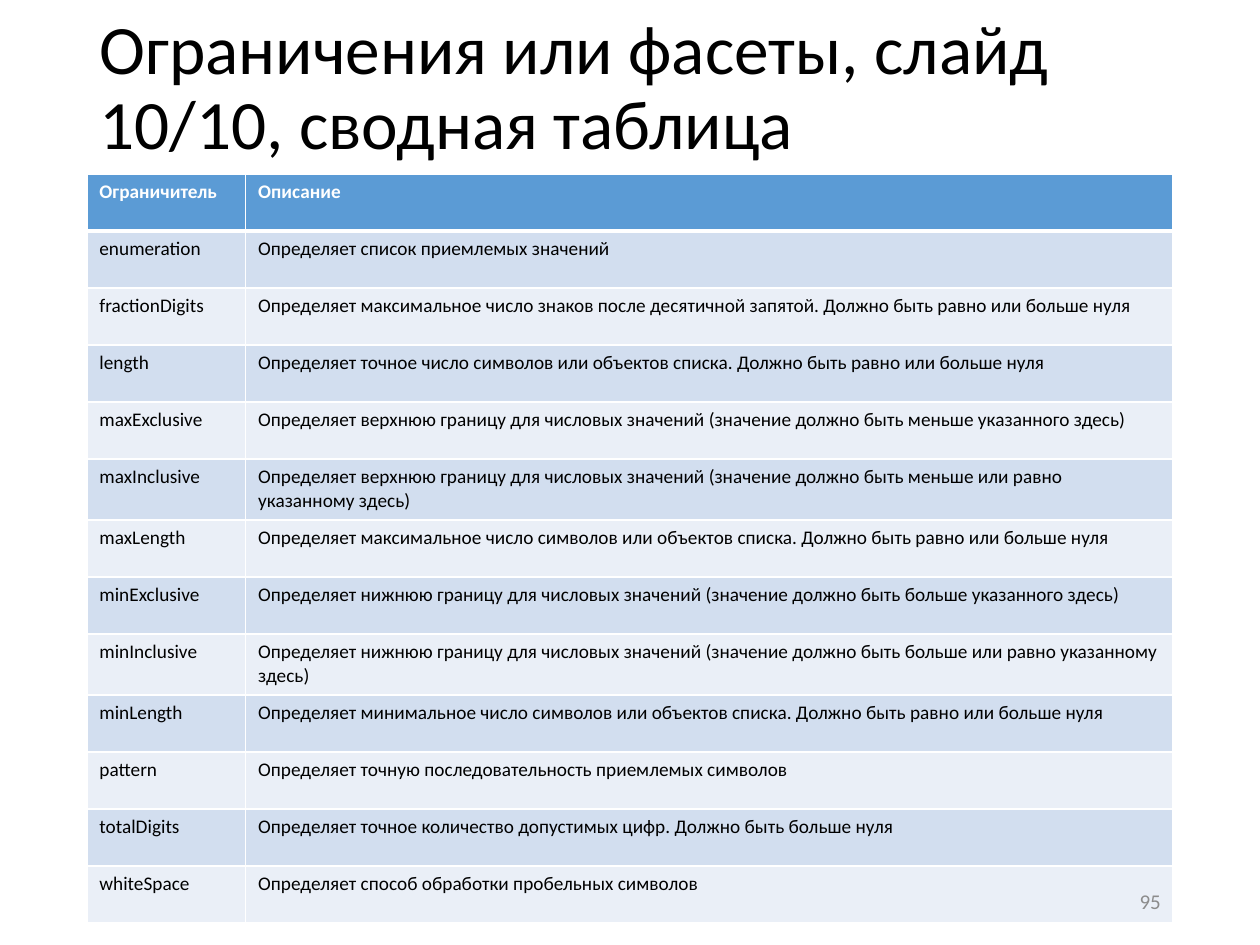
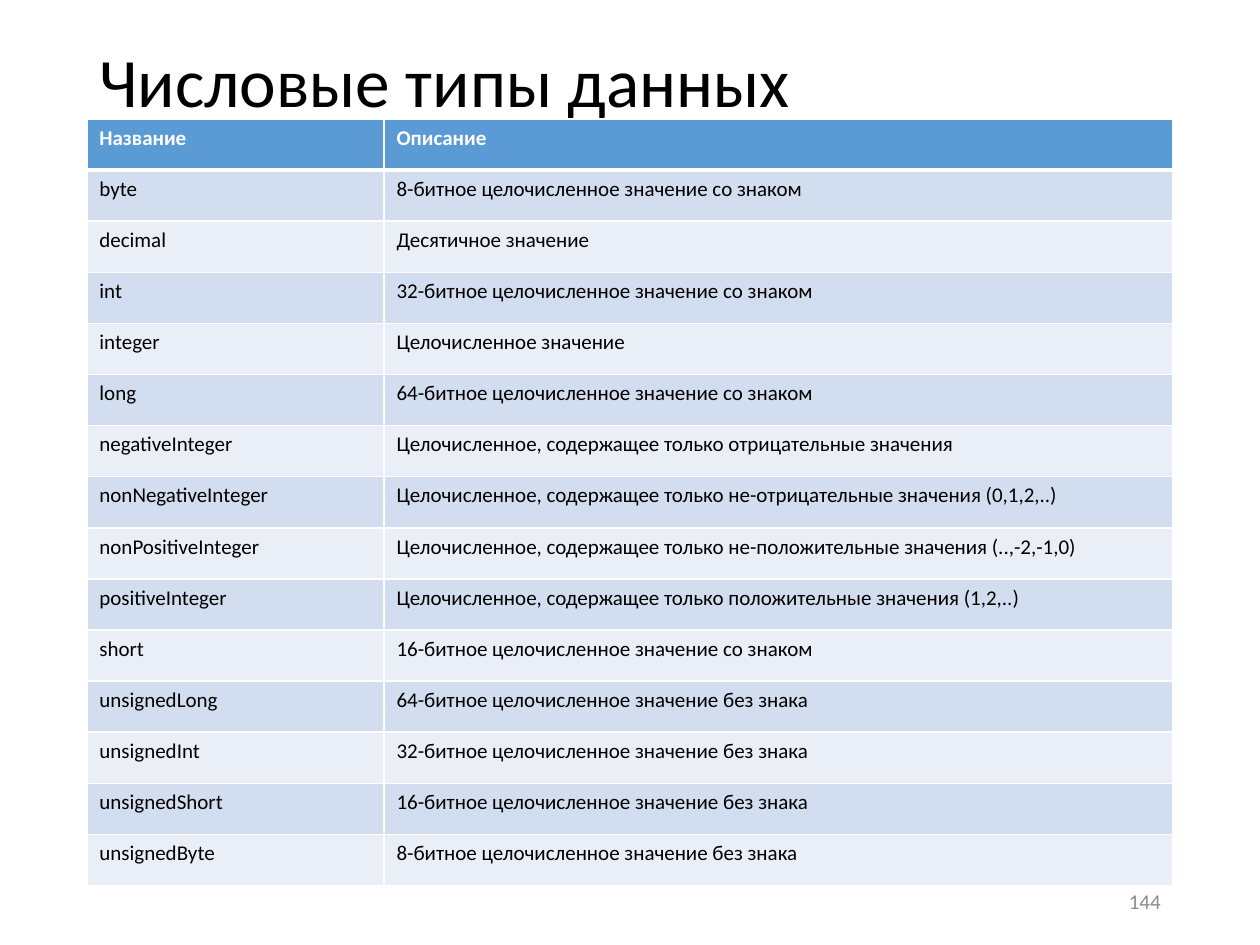
from lxml import etree
from pptx import Presentation
from pptx.dml.color import RGBColor
from pptx.enum.text import MSO_ANCHOR, MSO_AUTO_SIZE, PP_ALIGN
from pptx.oxml.ns import qn
from pptx.util import Cm, Pt

MIDDLE = MSO_ANCHOR.MIDDLE
NO_FIT = MSO_AUTO_SIZE.NONE
LEFT = PP_ALIGN.LEFT
RIGHT = PP_ALIGN.RIGHT
TITLE_ONLY = 5

FONT = "Calibri"
BLACK = RGBColor(0x00, 0x00, 0x00)
WHITE = RGBColor(0xFF, 0xFF, 0xFF)
GREY = RGBColor(0x8C, 0x8C, 0x8C)
HEADER = RGBColor(0x5B, 0x9B, 0xD5)
BANDS = (RGBColor(0xEA, 0xEF, 0xF7), RGBColor(0xD2, 0xDE, 0xEF))

MARGIN = Cm(1.75)
CONTENT_WIDTH = Cm(21.9)

FACETS = [
    ("Ограничитель", "Описание"),
    ("enumeration", "Определяет список приемлемых значений"),
    ("fractionDigits", "Определяет максимальное число знаков после десятичной запятой. "
                       "Должно быть равно или больше нуля"),
    ("length", "Определяет точное число символов или объектов списка. "
               "Должно быть равно или больше нуля"),
    ("maxExclusive", "Определяет верхнюю границу для числовых значений "
                     "(значение должно быть меньше указанного здесь)"),
    ("maxInclusive", "Определяет верхнюю границу для числовых значений "
                     "(значение должно быть меньше или равно указанному здесь)"),
    ("maxLength", "Определяет максимальное число символов или объектов списка. "
                  "Должно быть равно или больше нуля"),
    ("minExclusive", "Определяет нижнюю границу для числовых значений "
                     "(значение должно быть больше указанного здесь)"),
    ("minInclusive", "Определяет нижнюю границу для числовых значений "
                     "(значение должно быть больше или равно указанному здесь)"),
    ("minLength", "Определяет минимальное число символов или объектов списка. "
                  "Должно быть равно или больше нуля"),
    ("pattern", "Определяет точную последовательность приемлемых символов"),
    ("totalDigits", "Определяет точное количество допустимых цифр. Должно быть больше нуля"),
    ("whiteSpace", "Определяет способ обработки пробельных символов"),
]
TWO_LINE_FACETS = ("maxInclusive", "minInclusive")

NUMERIC_TYPES = [
    ("Название", "Описание"),
    ("byte", "8-битное целочисленное значение со знаком"),
    ("decimal", "Десятичное значение"),
    ("int", "32-битное целочисленное значение со знаком"),
    ("integer", "Целочисленное значение"),
    ("long", "64-битное целочисленное значение со знаком"),
    ("negativeInteger", "Целочисленное, содержащее только отрицательные значения"),
    ("nonNegativeInteger", "Целочисленное, содержащее только не-отрицательные значения (0,1,2,..)"),
    ("nonPositiveInteger", "Целочисленное, содержащее только не-положительные значения (..,-2,-1,0)"),
    ("positiveInteger", "Целочисленное, содержащее только положительные значения (1,2,..)"),
    ("short", "16-битное целочисленное значение со знаком"),
    ("unsignedLong", "64-битное целочисленное значение без знака"),
    ("unsignedInt", "32-битное целочисленное значение без знака"),
    ("unsignedShort", "16-битное целочисленное значение без знака"),
    ("unsignedByte", "8-битное целочисленное значение без знака"),
]


def write(tf, text, size, color, bold=False, align=LEFT):
    p = tf.paragraphs[0]
    p.alignment = align
    r = p.add_run()
    r.text = text
    r.font.name = FONT
    r.font.size = Pt(size)
    r.font.bold = bold
    r.font.color.rgb = color
    return p


def add_title(slide, text, height):
    sp = slide.shapes.title
    sp.left, sp.top, sp.width, sp.height = MARGIN, Cm(1.02), CONTENT_WIDTH, height
    tf = sp.text_frame
    tf.word_wrap = True
    tf.auto_size = NO_FIT
    tf.vertical_anchor = MIDDLE
    write(tf, text, 39.6, BLACK).line_spacing = 0.9


def add_page_number(slide, number):
    sp = slide.shapes.add_textbox(Cm(17.93), Cm(17.65), Cm(5.72), Cm(1.02))
    tf = sp.text_frame
    tf.word_wrap = True
    tf.vertical_anchor = MIDDLE
    write(tf, str(number), 12, GREY, align=RIGHT)


def set_borders(cell, top, bottom):
    tcPr = cell._tc.get_or_add_tcPr()
    for side, width in (("L", 1), ("R", 1), ("T", top), ("B", bottom)):
        ln = etree.SubElement(tcPr, qn("a:ln" + side), w=str(Pt(width)))
        fill = etree.SubElement(ln, qn("a:solidFill"))
        etree.SubElement(fill, qn("a:srgbClr"), val=str(WHITE))


def add_cell(cell, text, size, row):
    is_header = row == 0
    set_borders(cell, 3 if row == 1 else 1, 3 if is_header else 1)
    cell.fill.solid()
    cell.fill.fore_color.rgb = HEADER if is_header else BANDS[row % 2]
    write(cell.text_frame, text, size, WHITE if is_header else BLACK, is_header)


def add_definitions(slide, rows, top, name_width, row_height, size):
    frame = slide.shapes.add_table(len(rows), 2, MARGIN, top,
                                   CONTENT_WIDTH, row_height * len(rows))
    table = frame.table
    table.columns[0].width = name_width
    table.columns[1].width = CONTENT_WIDTH - name_width
    for i, texts in enumerate(rows):
        table.rows[i].height = Cm(1.23) if texts[0] in TWO_LINE_FACETS else row_height
        for j, text in enumerate(texts):
            add_cell(table.cell(i, j), text, size, i)


def main():
    prs = Presentation()
    prs.slide_width, prs.slide_height = Cm(25.4), Cm(19.05)
    layout = prs.slide_layouts[TITLE_ONLY]

    slide = prs.slides.add_slide(layout)
    add_title(slide, "Ограничения или фасеты, слайд 10/10, сводная таблица", Cm(1.57))
    add_definitions(slide, FACETS, Cm(3.51), Cm(3.2), Cm(1.15), 11)
    add_page_number(slide, 95)

    slide = prs.slides.add_slide(layout)
    add_title(slide, "Числовые типы данных", Cm(1.37))
    add_definitions(slide, NUMERIC_TYPES, Cm(2.4), Cm(5.99), Cm(1.03), 12)
    add_page_number(slide, 144)

    prs.save("out.pptx")


if __name__ == "__main__":
    main()
